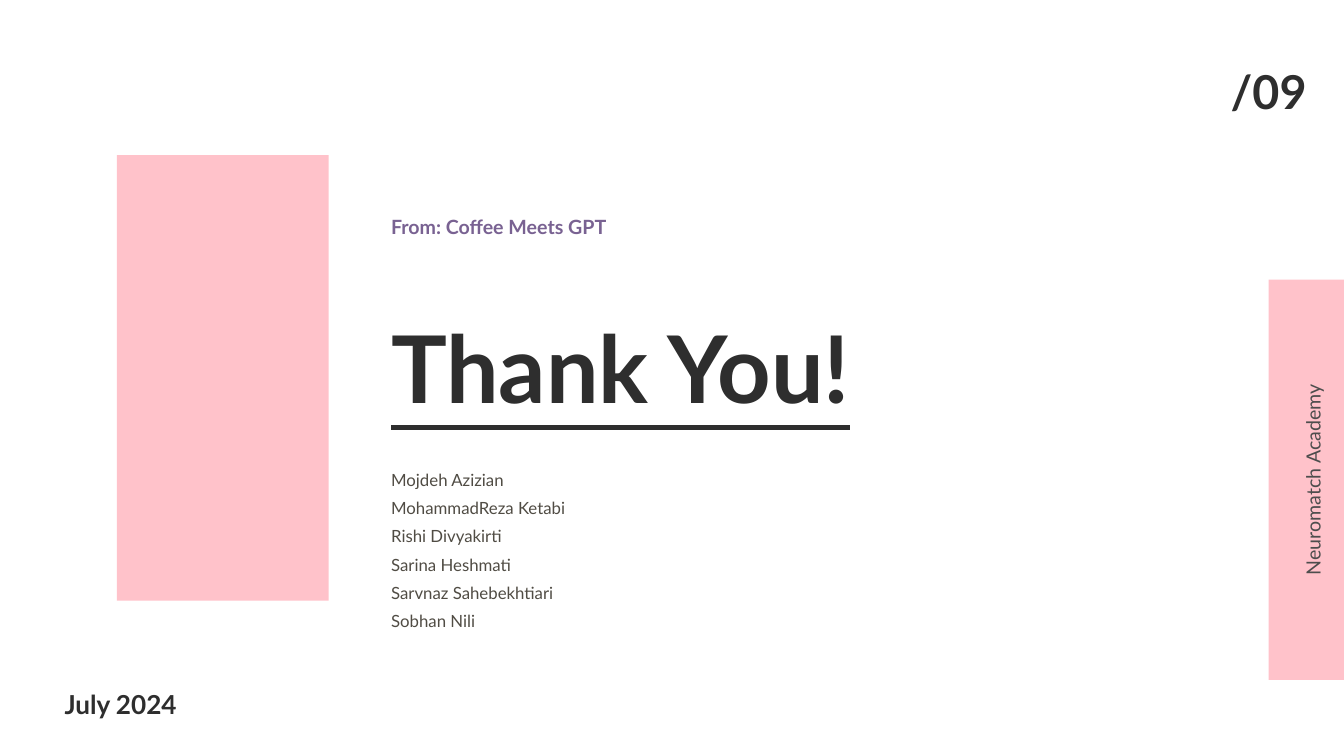
from lxml import etree
from pptx import Presentation
from pptx.dml.color import RGBColor
from pptx.enum.shapes import MSO_SHAPE
from pptx.enum.text import MSO_ANCHOR, MSO_AUTO_SIZE, PP_ALIGN
from pptx.oxml.ns import qn
from pptx.util import Inches, Pt

FONT = "Lato"
COLORS = {
    "pink": "FFC2CA",
    "dark": "2E2E2E",
    "gray": "4D4D4D",
    "purple": "796292",
    "brown": "504C44",
    "white": "FFFFFF",
}
MEMBERS = [
    "Mojdeh Azizian",
    "MohammadReza Ketabi",
    "Rishi Divyakirti",
    "Sarina Heshmati",
    "Sarvnaz Sahebekhtiari",
    "Sobhan Nili",
]


def rgb(name):
    return RGBColor.from_string(COLORS[name])


def place(sp, box):
    sp.left, sp.top, sp.width, sp.height = (Inches(v) for v in box)


def write(sp, lines, size, color, bold=False, underline=False, align=PP_ALIGN.LEFT):
    tf = sp.text_frame
    tf.margin_left = tf.margin_top = tf.margin_right = tf.margin_bottom = 0
    tf.word_wrap = True
    tf.vertical_anchor = MSO_ANCHOR.TOP
    tf.auto_size = MSO_AUTO_SIZE.SHAPE_TO_FIT_TEXT
    for i, line in enumerate(lines):
        p = tf.add_paragraph() if i else tf.paragraphs[0]
        pPr = p._p.get_or_add_pPr()
        pPr.set("marL", "0")
        pPr.set("indent", "0")
        etree.SubElement(pPr, qn("a:buNone"))
        p.alignment = align
        p.line_spacing = 1.4
        p.space_before = Pt(0)
        r = p.add_run()
        r.text = line
        r.font.name = FONT
        r.font.size = Pt(size)
        r.font.bold = bold
        r.font.underline = underline
        r.font.color.rgb = rgb(color)


def add_text(slide, box, text, size, color, **style):
    sp = slide.shapes.add_textbox(*(Inches(v) for v in box))
    write(sp, [text], size, color, **style)
    return sp


def add_block(slide, box):
    sp = slide.shapes.add_shape(MSO_SHAPE.RECTANGLE, *(Inches(v) for v in box))
    sp.shadow.inherit = False
    sp.fill.solid()
    sp.fill.fore_color.rgb = rgb("pink")
    sp.line.fill.background()


def add_side_tab(slide, box):
    left, top, width, height = box
    add_block(slide, box)
    length, line = 5.5, 0.4
    center_x, center_y = left + 0.54, top + height / 2
    label_box = (center_x - length / 2, center_y - line / 2, length, line)
    label = add_text(slide, label_box, "Neuromatch Academy", 21, "gray",
                     align=PP_ALIGN.CENTER)
    label.rotation = 270


def add_closing(slide, box):
    left, top, width, height = box
    title, body = slide.shapes.title, slide.placeholders[1]
    add_text(slide, (left, top, 3.87, 0.4), "From: Coffee Meets GPT", 21, "purple",
             bold=True)
    place(title, (left, top + 0.89, width, 1.87))
    write(title, ["Thank You!"], 100, "dark", bold=True, underline=True)
    place(body, (left, top + height - 2.52, 3.67, 2.52))
    write(body, MEMBERS, 18, "brown")


def main():
    prs = Presentation()
    prs.slide_width, prs.slide_height = Inches(20), Inches(11.25)
    slide = prs.slides.add_slide(prs.slide_layouts[1])
    slide.background.fill.solid()
    slide.background.fill.fore_color.rgb = rgb("white")

    add_block(slide, (1.74, 2.31, 3.15, 6.63))
    add_closing(slide, (5.82, 3.06, 8.37, 6.33))
    add_side_tab(slide, (18.88, 4.16, 1.12, 5.96))
    add_text(slide, (0.96, 10.05, 3.12, 0.54), "July 2024", 28, "dark", bold=True)
    add_text(slide, (17.98, 0.6, 1.8, 0.94), "/09", 50, "dark", bold=True,
             align=PP_ALIGN.CENTER)
    prs.save("out.pptx")


if __name__ == "__main__":
    main()
